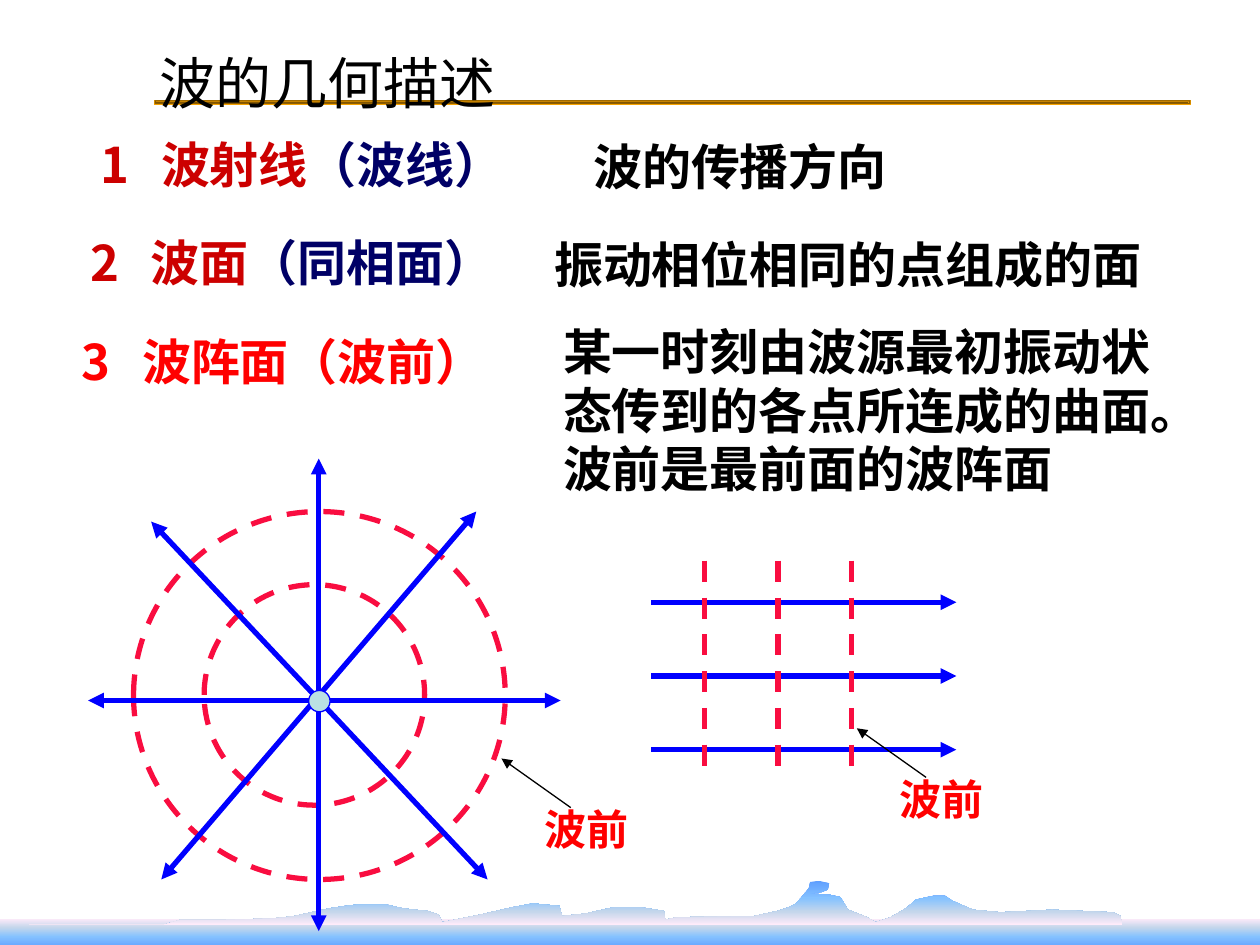
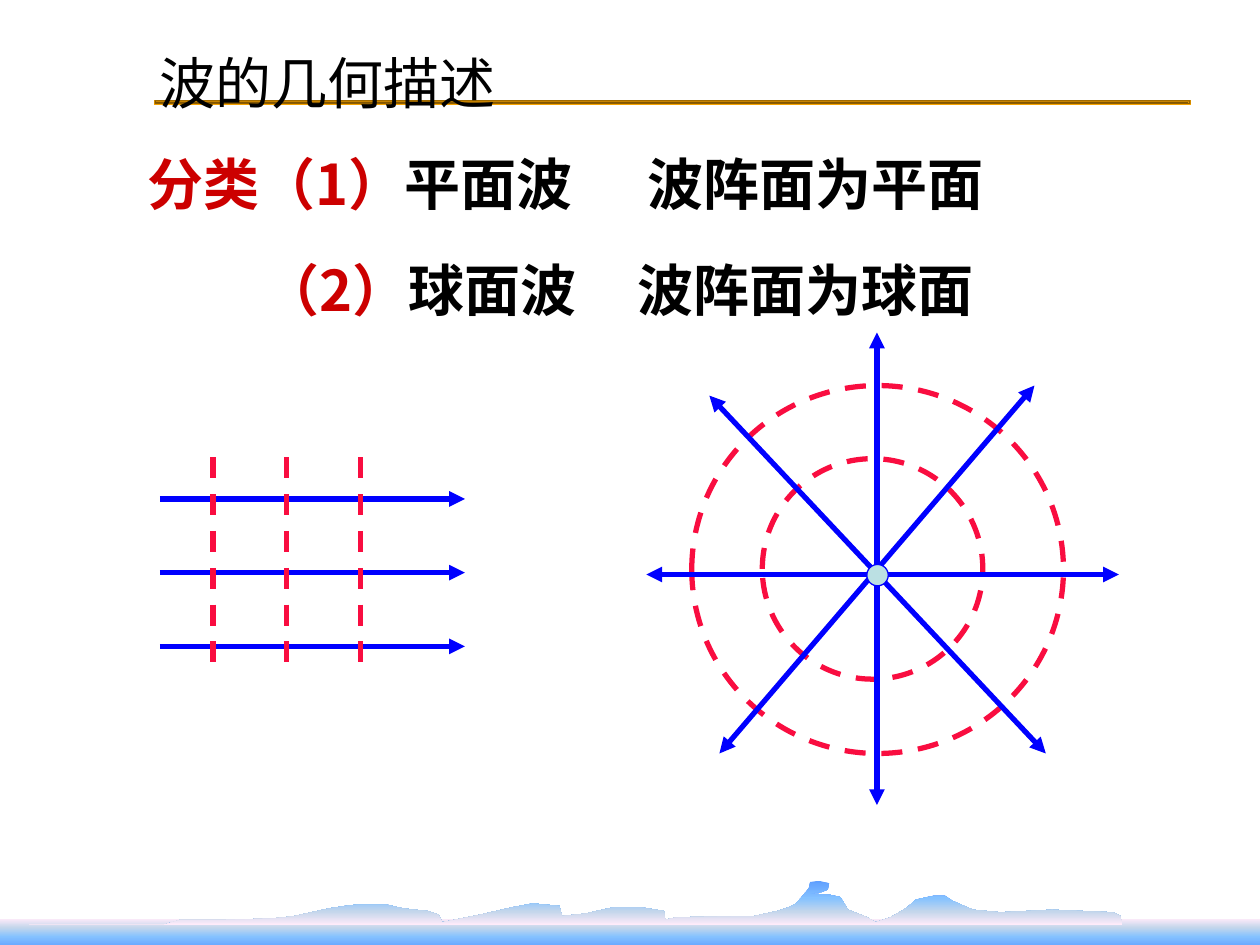
from dataclasses import dataclass
from typing import NamedTuple

from lxml.etree import SubElement
from pptx import Presentation
from pptx.dml.color import RGBColor
from pptx.enum.dml import MSO_LINE_DASH_STYLE as Dash
from pptx.enum.shapes import MSO_CONNECTOR as Connector, MSO_SHAPE as Shape
from pptx.enum.text import MSO_ANCHOR as Anchor
from pptx.oxml.ns import qn
from pptx.util import Inches, Pt

FONT = "Noto Sans CJK SC"
BLACK = RGBColor(0x00, 0x00, 0x00)
DARK_RED = RGBColor(0xCC, 0x00, 0x00)
RED = RGBColor(0xFF, 0x00, 0x00)
NAVY = RGBColor(0x00, 0x00, 0x66)
RAY_BLUE = RGBColor(0x00, 0x00, 0xFF)
FRONT_PINK = RGBColor(0xF9, 0x0D, 0x40)
SOURCE_FILL = RGBColor(0xBB, 0xE0, 0xE3)
BROWN = RGBColor(0x82, 0x56, 0x00)
GOLD = RGBColor(0xFF, 0xA8, 0x00)
MIST = RGBColor(0xFF, 0xEB, 0xFA)
HAZE = RGBColor(0xC4, 0xD6, 0xEB)
SKY = RGBColor(0x85, 0xC2, 0xFF)
WATER = RGBColor(0x5E, 0x9E, 0xFF)

RULE_STOPS = list(zip((0, 13, 28, 43, 58, 72, 87, 100), (BROWN, GOLD) * 4))
WATER_STOPS = [(0, MIST), (30, HAZE), (60, SKY), (100, WATER)]
HILL_STOPS = [(0, WATER), (40, SKY), (70, HAZE), (100, MIST)]
HILLS = [
    (0.23, 7.34), (1.3, 7.34), (1.43, 7.3), (1.78, 7.3), (2.14, 7.29), (2.26, 7.28),
    (2.34, 7.27), (2.43, 7.25), (2.61, 7.21), (2.74, 7.19), (2.83, 7.18), (3.07, 7.18),
    (3.2, 7.21), (3.39, 7.23), (3.48, 7.26), (3.51, 7.32), (3.81, 7.26), (3.94, 7.23),
    (4.07, 7.2), (4.23, 7.17), (4.44, 7.19), (4.46, 7.27), (4.65, 7.25), (4.87, 7.2),
    (5.08, 7.2), (5.27, 7.23), (5.28, 7.3), (5.37, 7.28), (5.89, 7.27), (5.99, 7.27),
    (6.17, 7.23), (6.26, 7.2), (6.32, 7.17), (6.42, 7.05), (6.43, 7), (6.5, 6.99),
    (6.58, 7.01), (6.57, 7.06), (6.52, 7.08), (6.41, 7.09), (6.58, 7.1), (6.67, 7.12),
    (6.73, 7.22), (6.88, 7.28), (6.95, 7.32), (7.07, 7.28), (7.19, 7.21), (7.27, 7.14),
    (7.36, 7.12), (7.41, 7.11), (7.5, 7.11), (7.56, 7.15), (7.72, 7.22), (7.94, 7.24),
    (8.35, 7.22), (8.83, 7.24), (8.89, 7.27), (8.91, 7.34),
]


class Span(NamedTuple):
    text: str
    color: RGBColor


@dataclass
class TextBlock:
    left: float
    top: float
    width: float
    height: float
    spans: list[Span]
    size: int = 28
    bold: bool = True
    line_spacing: float = 1.0
    tab: float | None = None
    wrap: bool = True
    anchor: Anchor = Anchor.TOP


class Ellipse(NamedTuple):
    """An ellipse whose place is measured from the wave source."""
    left: float
    top: float
    width: float
    height: float


class Ray(NamedTuple):
    """A two-headed ray whose ends are measured from the wave source."""
    x1: float
    y1: float
    x2: float
    y2: float


WAVE_CIRCLES = [Ellipse(-0.91, -0.92, 1.75, 1.75), Ellipse(-1.47, -1.5, 2.95, 2.92)]
RAYS = [
    Ray(0, 1.83, 0, -1.92),
    Ray(-1.83, 0, 1.92, 0),
    Ray(-1.25, 1.42, 1.25, -1.5),
    Ray(1.34, 1.42, -1.33, -1.42),
]

TITLE = TextBlock(1.17, 0.23, 8.57, 0.66, [Span("波的几何描述", BLACK)],
                  size=32, bold=False, line_spacing=1.2)
DEFINITIONS = [
    TextBlock(0.7, 1.02, 4.85, 0.57,
              [Span("1\t波射线", DARK_RED), Span("（波线）", NAVY)], tab=0.48),
    TextBlock(4.61, 0.94, 3.6, 0.59, [Span("波的传播方向", BLACK)], line_spacing=1.2),
    TextBlock(0.62, 1.8, 3.83, 0.57,
              [Span("2\t波面", DARK_RED), Span("（同相面）", NAVY)], tab=0.48),
    TextBlock(4.3, 1.72, 5.16, 0.67, [Span("振动相位相同的点组成的面", BLACK)],
              line_spacing=1.2),
    TextBlock(0.55, 2.58, 3.44, 0.57, [Span("3\t波阵面（波前）", RED)], tab=0.48),
    TextBlock(4.37, 2.5, 4.92, 1.51,
              [Span("某一时刻由波源最初振动状态传到的各点所连成的曲面。"
                    "波前是最前面的波阵面", BLACK)]),
]
CLASSES = [
    TextBlock(1.07, 1.14, 8.25, 0.63,
              [Span("分类（1）", DARK_RED), Span("平面波\t波阵面为平面", BLACK)],
              size=32, tab=3.97),
    TextBlock(1.99, 1.98, 6.06, 0.64,
              [Span("（2）", DARK_RED), Span("球面波\t波阵面为球面", BLACK)],
              size=32, tab=2.97),
]


def add_text(page, block: TextBlock) -> None:
    box = page.shapes.add_textbox(Inches(block.left), Inches(block.top),
                                  Inches(block.width), Inches(block.height))
    frame = box.text_frame
    frame.word_wrap = block.wrap
    frame.vertical_anchor = block.anchor
    para = frame.paragraphs[0]
    para.line_spacing = block.line_spacing
    if block.tab is not None:
        tabs = SubElement(para._p.get_or_add_pPr(), qn("a:tabLst"))
        SubElement(tabs, qn("a:tab"), pos=str(Inches(block.tab)), algn="l")
    para.font.size = Pt(block.size)
    para.font.bold = block.bold
    para.font.name = FONT
    for span in block.spans:
        run = para.add_run()
        run.text = span.text
        run.font.color.rgb = span.color
        SubElement(run._r.get_or_add_rPr(), qn("a:ea"), typeface=FONT)


def fill_gradient(shape, stops: list[tuple[int, RGBColor]], from_center: bool = False) -> None:
    """Fill top to bottom, or outwards from the centre, and drop the outline."""
    shape.shadow.inherit = False
    shape.line.fill.background()
    shape.fill.gradient()
    gradient = shape._element.spPr.find(qn("a:gradFill"))
    for child in list(gradient):
        gradient.remove(child)
    stop_list = SubElement(gradient, qn("a:gsLst"))
    for percent, color in stops:
        stop = SubElement(stop_list, qn("a:gs"), pos=str(percent * 1000))
        SubElement(stop, qn("a:srgbClr"), val=str(color))
    if from_center:
        shade = SubElement(gradient, qn("a:path"), path="shape")
        SubElement(shade, qn("a:fillToRect"), l="50000", t="50000", r="50000", b="50000")
    else:
        SubElement(gradient, qn("a:lin"), ang="5400000", scaled="1")


def add_line(page, x1: float, y1: float, x2: float, y2: float, color: RGBColor,
             width: float = 3, head: bool = False, tail: bool = False,
             dashed: bool = False) -> None:
    connector = page.shapes.add_connector(Connector.STRAIGHT, Inches(x1), Inches(y1),
                                          Inches(x2), Inches(y2))
    line = connector.line
    line.color.rgb = color
    line.width = Pt(width)
    if dashed:
        line.dash_style = Dash.DASH
    properties = connector._element.spPr
    for wanted, tag in ((head, "a:headEnd"), (tail, "a:tailEnd")):
        if wanted:
            SubElement(properties.find(qn("a:ln")), qn(tag), type="triangle")
    SubElement(properties, qn("a:effectLst"))


def add_ellipse(page, left: float, top: float, width: float, height: float,
                color: RGBColor, line_width: float):
    ellipse = page.shapes.add_shape(Shape.OVAL, Inches(left), Inches(top),
                                    Inches(width), Inches(height))
    ellipse.shadow.inherit = False
    ellipse.fill.background()
    ellipse.line.color.rgb = color
    ellipse.line.width = Pt(line_width)
    return ellipse


def add_plane_wave(page, left: float, top: float) -> None:
    """Draw three parallel rays crossed by three fronts; the fronts start at top."""
    for index in range(3):
        y = top + 0.33 + index * 0.585
        add_line(page, left, y, left + 2.42, y, RAY_BLUE, tail=True)
    for index in range(3):
        x = left + 0.42 + index * 0.585
        add_line(page, x, top, x, top + 1.75, FRONT_PINK, dashed=True)


def add_spherical_wave(page, x: float, y: float) -> None:
    """Draw circular fronts and rays around a source at x, y."""
    for circle in WAVE_CIRCLES:
        front = add_ellipse(page, x + circle.left, y + circle.top,
                            circle.width, circle.height, FRONT_PINK, 3)
        front.line.dash_style = Dash.DASH
    for ray in RAYS:
        add_line(page, x + ray.x1, y + ray.y1, x + ray.x2, y + ray.y2, RAY_BLUE,
                 head=True, tail=True)
    source = add_ellipse(page, x - 0.08, y - 0.08, 0.17, 0.17, RAY_BLUE, 0.75)
    source.fill.solid()
    source.fill.fore_color.rgb = SOURCE_FILL


def add_front_label(page, x: float, y: float) -> None:
    """Label the wave front that the pointer touches at x, y."""
    add_line(page, x, y, x + 0.55, y + 0.39, BLACK, width=0.75, head=True)
    add_text(page, TextBlock(x + 0.24, y + 0.31, 0.88, 0.5, [Span("波前", RED)],
                             size=24, wrap=False, anchor=Anchor.MIDDLE))


def add_page(deck):
    """Add a blank page with the title, its rule and the water scenery."""
    page = deck.slides.add_slide(deck.slide_layouts[6])
    rule = page.shapes.add_shape(Shape.RECTANGLE, Inches(1.22), Inches(0.79),
                                 Inches(8.23), Inches(0.04))
    fill_gradient(rule, RULE_STOPS, from_center=True)
    water = page.shapes.add_shape(Shape.RECTANGLE, 0, Inches(7.29),
                                  Inches(10), Inches(0.24))
    fill_gradient(water, WATER_STOPS)
    start, *outline = [(Inches(x), Inches(y)) for x, y in HILLS]
    builder = page.shapes.build_freeform(*start)
    builder.add_line_segments(outline, close=True)
    fill_gradient(builder.convert_to_shape(), HILL_STOPS)
    add_text(page, TITLE)
    return page


def add_definitions_page(deck) -> None:
    page = add_page(deck)
    add_plane_wave(page, 5.17, 4.45)
    add_spherical_wave(page, 2.53, 5.56)
    for block in DEFINITIONS:
        add_text(page, block)
    add_front_label(page, 3.98, 6.02)
    add_front_label(page, 6.8, 5.78)


def add_classes_page(deck) -> None:
    page = add_page(deck)
    add_plane_wave(page, 1.27, 3.63)
    add_spherical_wave(page, 6.96, 4.56)
    for block in CLASSES:
        add_text(page, block)


def main() -> None:
    deck = Presentation()
    deck.slide_width = Inches(10)
    deck.slide_height = Inches(7.5)
    add_definitions_page(deck)
    add_classes_page(deck)
    deck.save("out.pptx")


if __name__ == "__main__":
    main()
